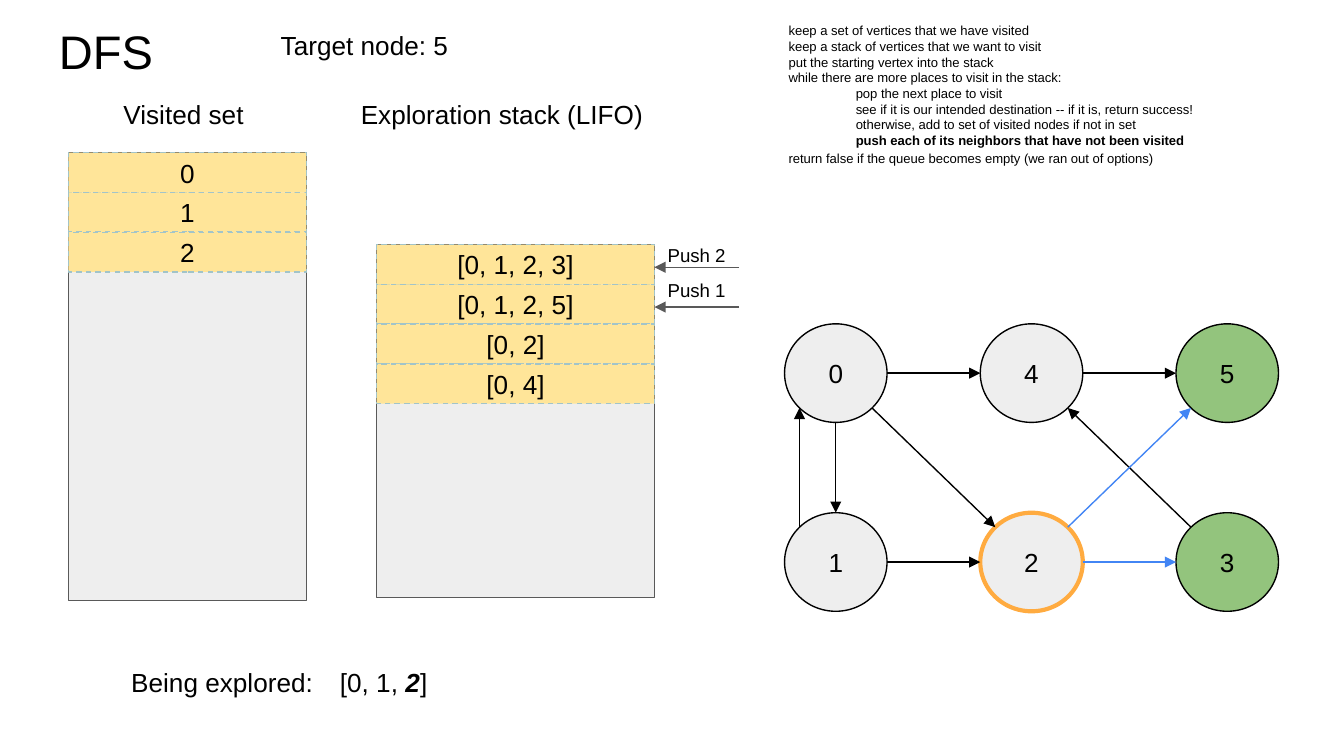
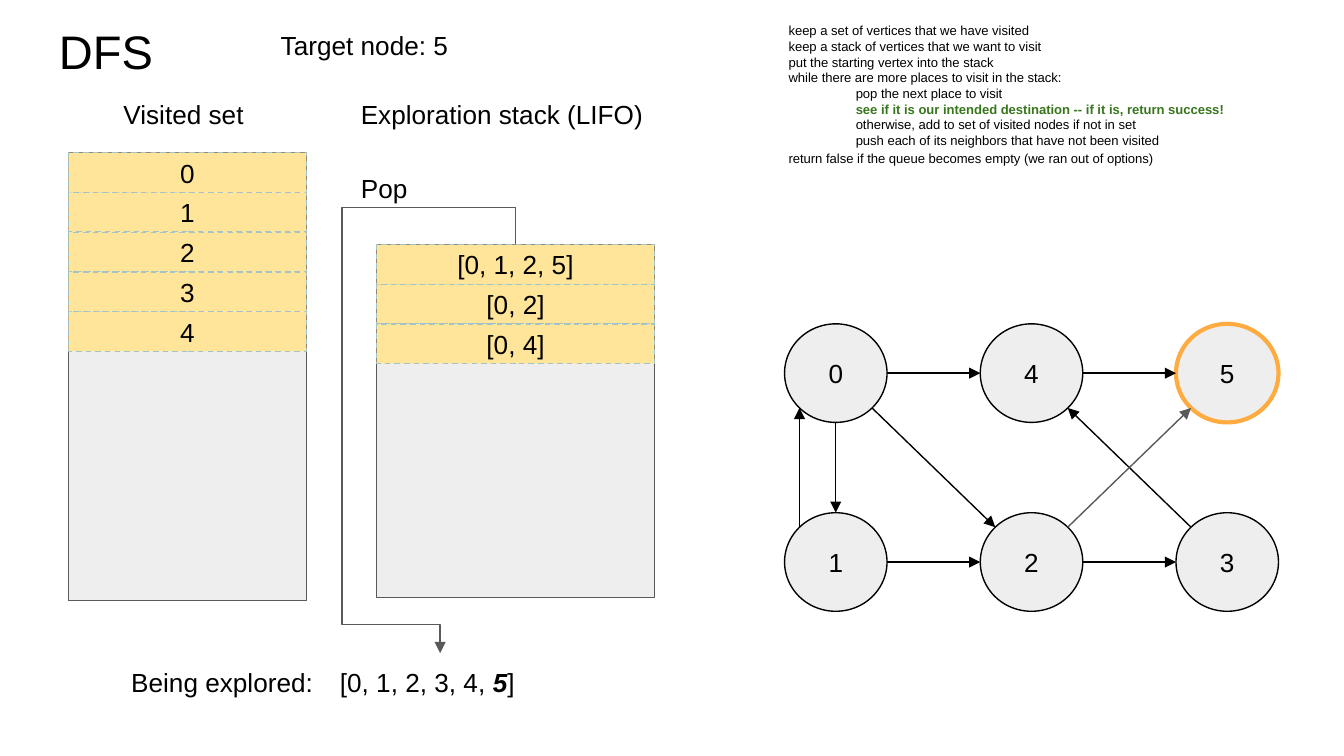
"""Two steps of a depth-first search, each on its own slide."""
from dataclasses import dataclass
from lxml import etree
from pptx import Presentation, util as u
from pptx.dml.color import RGBColor
from pptx.enum import dml, shapes, text
from pptx.oxml.ns import qn


@dataclass(frozen=True)
class Theme:
    """Colours, type sizes and line widths of the deck."""
    font: str = "Arial"
    ink: str = "000000"
    grey: str = "595959"
    pale: str = "EEEEEE"
    card: str = "FFE599"
    card_line: str = "A2C4C9"
    current: str = "FFAB40"
    neighbor: str = "93C47D"
    pushed: str = "4285F4"
    success: str = "38761D"
    title: float = 25.2
    body: float = 14
    small: float = 10
    code: float = 7
    thin: float = 0.75
    thick: float = 2.25
    inset: float = 7.2


NODE_WIDTH, NODE_HEIGHT = 54.9, 52.8
COLUMN_STEP, ROW_STEP = 104.85, 101.2
GRAPH_LEFT, GRAPH_TOP = 420.3, 173.5
NODE_CELLS = {0: (0, 0), 1: (0, 1), 4: (1, 0), 2: (1, 1), 5: (2, 0), 3: (2, 1)}
DIAGONAL = 0.707
SIDES = {"top": (0, -1), "bottom": (0, 1), "left": (-1, 0), "right": (1, 0),
         "top left": (-DIAGONAL, -DIAGONAL), "top right": (DIAGONAL, -DIAGONAL),
         "bottom left": (-DIAGONAL, DIAGONAL), "bottom right": (DIAGONAL, DIAGONAL)}
EDGES = [(0, "bottom", 1, "top"), (0, "right", 4, "left"),
         (0, "bottom right", 2, "top left"), (4, "right", 5, "left"),
         (1, "right", 2, "left"), (1, "top left", 0, "bottom left"),
         (2, "right", 3, "left"), (3, "top left", 4, "bottom right"),
         (2, "top right", 5, "bottom left")]

VISITED = (36.7, 81.8, 127.5, 240)
STACK = (201.8, 131, 148.8, 189.1)
CARD_HEIGHT = 21.3

PSEUDOCODE = [
    (0, "keep a set of vertices that we have visited"),
    (0, "keep a stack of vertices that we want to visit"),
    (0, "put the starting vertex into the stack"),
    (0, "while there are more places to visit in the stack:"),
    (36, "pop the next place to visit"),
    (36, "see if it is our intended destination -- if it is, return success!"),
    (36, "otherwise, add to set of visited nodes if not in set"),
    (36, "push each of its neighbors that have not been visited"),
    (0, "return false if the queue becomes empty (we ran out of options)"),
]
CHECK_LINE, PUSH_LINE = 5, 7


class SlideWriter:
    """Draws styled elements on the current slide."""

    def __init__(self, deck, theme):
        """Keep the deck and its theme."""
        self.deck, self.theme = deck, theme
        self.page = self.canvas = None

    def new_page(self):
        """Start a blank slide."""
        self.page = self.deck.slides.add_slide(self.deck.slide_layouts[6])
        self.canvas = self.page.shapes

    def style_font(self, font, size, color=None, bold=False):
        """Set the theme font with a size, colour and weight."""
        font.name, font.size, font.bold = self.theme.font, u.Pt(size), bold
        font.color.rgb = RGBColor.from_string(color or self.theme.ink)

    def set_insets(self, frame):
        """Wrap the text and give all sides the same margin."""
        frame.word_wrap = True
        frame.margin_left = frame.margin_right = u.Pt(self.theme.inset)
        frame.margin_top = frame.margin_bottom = u.Pt(self.theme.inset)

    def text_box(self, left, top, width, height, words="", size=None):
        """Add a text box with one paragraph and return its frame."""
        box = self.canvas.add_textbox(u.Pt(left), u.Pt(top), u.Pt(width), u.Pt(height))
        frame = box.text_frame
        self.set_insets(frame)
        frame.auto_size = text.MSO_AUTO_SIZE.SHAPE_TO_FIT_TEXT
        para = frame.paragraphs[0]
        para.text = words
        self.style_font(para.font, size or self.theme.body)
        return frame

    def shape(self, kind, left, top, width, height, fill, line, weight=None, words=""):
        """Add a filled, outlined shape with centred text."""
        shape = self.canvas.add_shape(kind, u.Pt(left), u.Pt(top), u.Pt(width), u.Pt(height))
        shape.shadow.inherit = False
        shape.fill.solid()
        shape.fill.fore_color.rgb = RGBColor.from_string(fill)
        shape.line.color.rgb = RGBColor.from_string(line)
        shape.line.width = u.Pt(weight or self.theme.thin)
        if words:
            frame = shape.text_frame
            self.set_insets(frame)
            frame.vertical_anchor = text.MSO_ANCHOR.MIDDLE
            para = frame.paragraphs[0]
            para.text, para.alignment = words, text.PP_ALIGN.CENTER
            self.style_font(para.font, self.theme.body)
        return shape

    def arrow(self, start, end, color, kind=shapes.MSO_CONNECTOR.STRAIGHT):
        """Add a connector with a triangle at its end."""
        arrow = self.canvas.add_connector(kind, *(u.Pt(v) for v in (*start, *end)))
        arrow.line.color.rgb = RGBColor.from_string(color)
        arrow.line.width = u.Pt(self.theme.thin)
        etree.SubElement(arrow.line._get_or_add_ln(), qn("a:tailEnd"), type="triangle")
        etree.SubElement(arrow._element.spPr, qn("a:effectLst"))
        return arrow

    def bent_arrow(self, left, top, width, height, bends):
        """Add a five-part elbow arrow turned by a quarter."""
        arrow = self.arrow((left, top), (left + width, top + height), self.theme.grey,
                           shapes.MSO_CONNECTOR.ELBOW)
        properties = arrow._element.spPr
        properties.find(qn("a:xfrm")).set("rot", str(90 * 60000))
        geometry = properties.find(qn("a:prstGeom"))
        geometry.set("prst", "bentConnector5")
        guides = geometry.find(qn("a:avLst"))
        for number, bend in enumerate(bends, 1):
            etree.SubElement(guides, qn("a:gd"), name=f"adj{number}",
                             fmla=f"val {round(bend * 100000)}")

    def pile(self, area, cards):
        """Add a container with cards stacked from its top."""
        left, top, width, _ = area
        kind = shapes.MSO_SHAPE.RECTANGLE
        self.shape(kind, *area, self.theme.pale, self.theme.grey)
        for row, words in enumerate(cards):
            card = self.shape(kind, left, top + row * CARD_HEIGHT, width, CARD_HEIGHT,
                              self.theme.card, self.theme.card_line, words=words)
            card.line.dash_style = dml.MSO_LINE.DASH

    def pseudocode(self, marked, color):
        """List the algorithm with one line in bold."""
        frame = self.text_box(415.4, 5, 256.3, 90.7)
        for number, (indent, words) in enumerate(PSEUDOCODE):
            para = frame.add_paragraph() if number else frame.paragraphs[0]
            para.text = words
            bold = number == marked
            self.style_font(para.font, self.theme.code, color if bold else None, bold)
            if indent:
                properties = para._p.get_or_add_pPr()
                properties.set("marL", "0")
                properties.set("indent", str(u.Pt(indent)))
        para.line_spacing = 1.15

    def explored(self, width, before, current):
        """Show the explored path with its last node stressed."""
        para = self.text_box(175, 350, width, 31.7).paragraphs[0]
        for words, stressed in ((f"[{before}, ", False), (current, True), ("]", False)):
            span = para.add_run()
            span.text = words
            self.style_font(span.font, self.theme.body, bold=stressed)
            span.font.italic = stressed

    def graph(self, current, neighbors=(), edge_colors=None):
        """Draw the grouped graph, stressing nodes and edges."""
        theme = self.theme
        self.canvas = self.page.shapes.add_group_shape().shapes
        centers = {}
        for node, (column, row) in NODE_CELLS.items():
            left = GRAPH_LEFT + column * COLUMN_STEP
            top = GRAPH_TOP + row * ROW_STEP
            centers[node] = (left + NODE_WIDTH / 2, top + NODE_HEIGHT / 2)
            self.shape(shapes.MSO_SHAPE.OVAL, left, top, NODE_WIDTH, NODE_HEIGHT,
                       theme.neighbor if node in neighbors else theme.pale,
                       theme.current if node == current else theme.ink,
                       theme.thick if node == current else theme.thin, str(node))

        def site(node, side):
            """Return the point on a node's rim."""
            (x, y), (across, down) = centers[node], SIDES[side]
            return x + across * NODE_WIDTH / 2, y + down * NODE_HEIGHT / 2

        for source, start, target, end in EDGES:
            color = (edge_colors or {}).get((source, target), theme.ink)
            self.arrow(site(source, start), site(target, end), color)
        self.canvas = self.page.shapes

    def search_page(self, visited, stack):
        """Start a slide with the headings and both piles."""
        self.new_page()
        self.text_box(24.5, 5, 127.4, 45.4, "DFS", self.theme.title)
        self.text_box(143.3, 8.6, 108.7, 31.7, "Target node: 5")
        self.text_box(59, 45.4, 82.8, 31.7, "Visited set")
        self.text_box(186.2, 45.4, 180, 31.7, "Exploration stack (LIFO)")
        self.text_box(63.2, 350, 127.4, 31.7, "Being explored:")
        self.pile(VISITED, visited)
        self.pile(STACK, stack)


def push_slide(writer):
    """Node 2 pushes its two neighbors."""
    theme = writer.theme
    writer.search_page("012", ["[0, 1, 2, 3]", "[0, 1, 2, 5]", "[0, 2]", "[0, 4]"])
    writer.pseudocode(PUSH_LINE, theme.ink)
    writer.graph(2, (5, 3), {(2, 3): theme.pushed, (2, 5): theme.pushed})
    writer.explored(62.9, "0, 1", "2")
    for row, words in enumerate(("Push 2", "Push 1")):
        y = 143.2 + row * CARD_HEIGHT
        writer.arrow((396, y), (350.6, y), theme.grey)
        writer.text_box(350.6, 124.7 + row * 18.5, 74, 26.6, words, theme.small)


def pop_slide(writer):
    """The target is popped and found."""
    theme = writer.theme
    writer.search_page("01234", ["[0, 1, 2, 5]", "[0, 2]", "[0, 4]"])
    writer.pseudocode(CHECK_LINE, theme.success)
    writer.graph(5, edge_colors={(2, 5): theme.grey})
    writer.bent_arrow(146.6, 220.2, 218.9, 40.5, (-0.09, 2.3, 0.93))
    writer.explored(121.7, "0, 1, 2, 3, 4", "5")
    writer.text_box(186.2, 85, 78.5, 31.7, "Pop")


def main():
    """Build and save the deck."""
    deck = Presentation()
    deck.slide_width, deck.slide_height = u.Pt(720), u.Pt(405)
    writer = SlideWriter(deck, Theme())
    push_slide(writer)
    pop_slide(writer)
    deck.save("out.pptx")


main()
